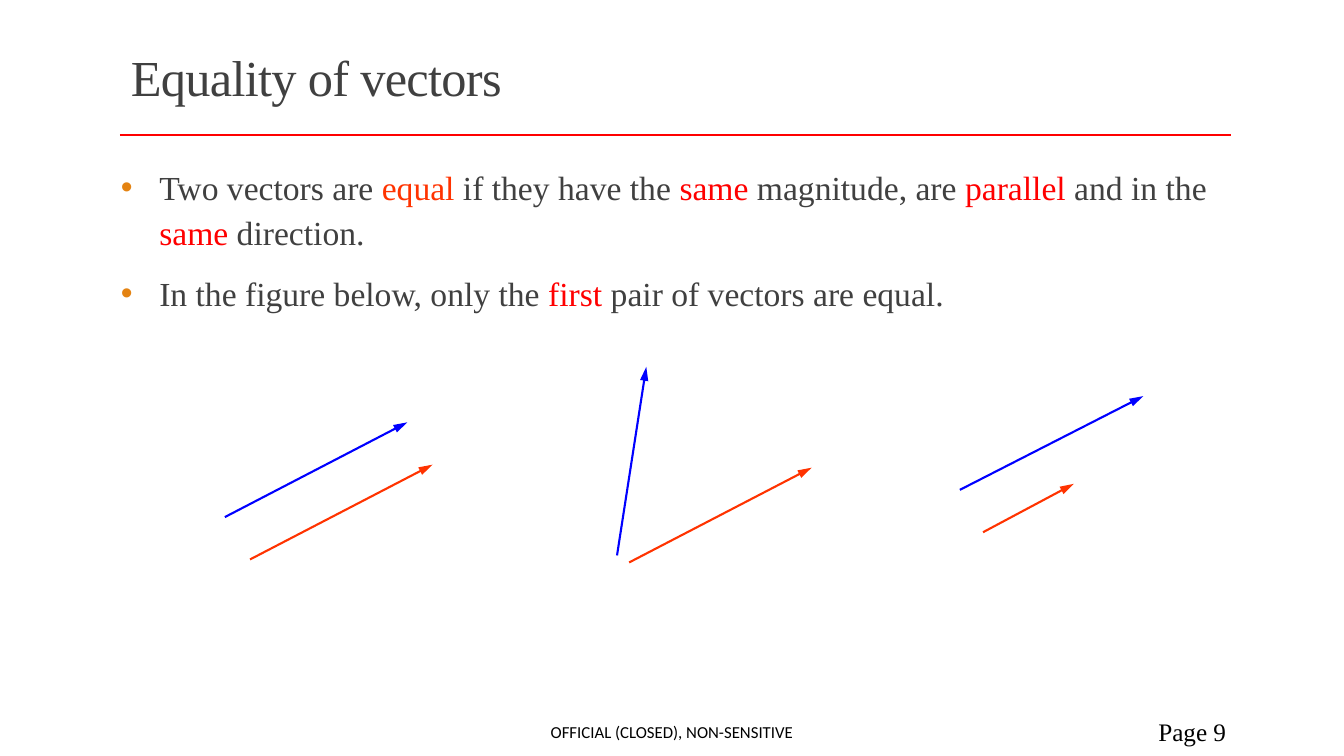
from lxml.etree import SubElement
from pptx import Presentation
from pptx.dml.color import RGBColor
from pptx.enum.shapes import MSO_CONNECTOR
from pptx.enum.text import MSO_ANCHOR, PP_ALIGN
from pptx.oxml.ns import qn
from pptx.util import Inches, Pt

SERIF = "Times New Roman"
GREY, RED, ORANGE, BLUE, BLACK = "404040", "FF0000", "FF3300", "0000FF", "000000"
BULLET_COLOUR = "E48312"

STATEMENTS = [
    [("Two vectors are ", GREY), ("equal", ORANGE), (" if they have the ", GREY),
     ("same", RED), (" magnitude, are ", GREY), ("parallel", RED),
     (" and in the ", GREY), ("same", RED), (" direction.", GREY)],
    [("In the figure below, only the ", GREY), ("first", RED),
     (" pair of vectors are equal.", GREY)],
]

VECTOR_PAIRS = [
    [((2.23, 5.13), (4.04, 4.19)), ((2.48, 5.55), (4.29, 4.61))],
    [((6.12, 5.51), (6.41, 3.64)), ((6.24, 5.58), (8.05, 4.64))],
    [((9.52, 4.86), (11.34, 3.93)), ((9.75, 5.28), (10.65, 4.8))],
]


def colour(value):
    return RGBColor.from_string(value)


def add_text_frame(slide, left, top, width, height, anchor=MSO_ANCHOR.MIDDLE):
    box = slide.shapes.add_textbox(Inches(left), Inches(top), Inches(width), Inches(height))
    frame = box.text_frame
    frame.word_wrap = True
    frame.vertical_anchor = anchor
    return frame


def add_run(paragraph, text, size, shade, font=SERIF):
    run = paragraph.add_run()
    run.text = text
    run.font.size = Pt(size)
    run.font.name = font
    run.font.color.rgb = colour(shade)
    return run


def add_title(slide, text):
    heading = add_text_frame(slide, 1.2, 0.31, 11, 0.98).paragraphs[0]
    heading.line_spacing = 0.85
    run = add_run(heading, text, 36, GREY)
    run.font._element.set("spc", "-50")


def add_bullet(paragraph):
    properties = paragraph._p.get_or_add_pPr()
    properties.set("marL", str(Inches(0.38)))
    properties.set("indent", str(-Inches(0.38)))
    bullet_colour = SubElement(properties, qn("a:buClr"))
    SubElement(bullet_colour, qn("a:srgbClr")).set("val", BULLET_COLOUR)
    SubElement(properties, qn("a:buFont")).set("typeface", "Arial")
    SubElement(properties, qn("a:buChar")).set("char", "•")


def add_statements(slide, statements):
    frame = add_text_frame(slide, 1.2, 1.57, 11.02, 1.81, MSO_ANCHOR.TOP)
    frame.margin_left = frame.margin_right = 0
    for index, pieces in enumerate(statements):
        statement = frame.add_paragraph() if index else frame.paragraphs[0]
        add_bullet(statement)
        statement.line_spacing = 1.1
        statement.space_before = Pt(6 if index else 0)
        statement.space_after = Pt(6)
        for text, shade in pieces:
            add_run(statement, text, 24, shade)


def add_footer(slide, left, width, text, size, font, alignment):
    footer = add_text_frame(slide, left, 7.06, width, 0.4).paragraphs[0]
    footer.alignment = alignment
    add_run(footer, text, size, BLACK, font)


def add_line(shapes, start, end, shade, width):
    ends = [Inches(value) for value in (*start, *end)]
    line = shapes.add_connector(MSO_CONNECTOR.STRAIGHT, *ends)
    line.line.color.rgb = colour(shade)
    line.line.width = Pt(width)
    SubElement(line._element.spPr, qn("a:effectLst"))
    return line


def add_vector(shapes, start, end, shade):
    vector = add_line(shapes, start, end, shade, 1.5)
    arrowhead = SubElement(vector.line._get_or_add_ln(), qn("a:tailEnd"))
    arrowhead.set("type", "triangle")
    arrowhead.set("w", "med")
    arrowhead.set("len", "lg")


def add_vector_pair(slide, pair):
    group = slide.shapes.add_group_shape()
    for (start, end), shade in zip(pair, (BLUE, ORANGE)):
        add_vector(group.shapes, start, end, shade)


def main():
    presentation = Presentation()
    presentation.slide_width = Inches(13.33)
    presentation.slide_height = Inches(7.5)
    slide = presentation.slides.add_slide(presentation.slide_layouts[6])

    add_line(slide.shapes, (1.19, 1.34), (12.21, 1.34), RED, 2)
    add_title(slide, "Equality of vectors")
    add_statements(slide, STATEMENTS)
    add_footer(slide, 10.83, 1.43, "Page 9", 18, SERIF, PP_ALIGN.RIGHT)
    add_footer(slide, 4.03, 5.27, "OFFICIAL (CLOSED), NON-SENSITIVE", 12, "Calibri",
               PP_ALIGN.CENTER)
    for pair in VECTOR_PAIRS:
        add_vector_pair(slide, pair)

    presentation.save("out.pptx")


if __name__ == "__main__":
    main()
